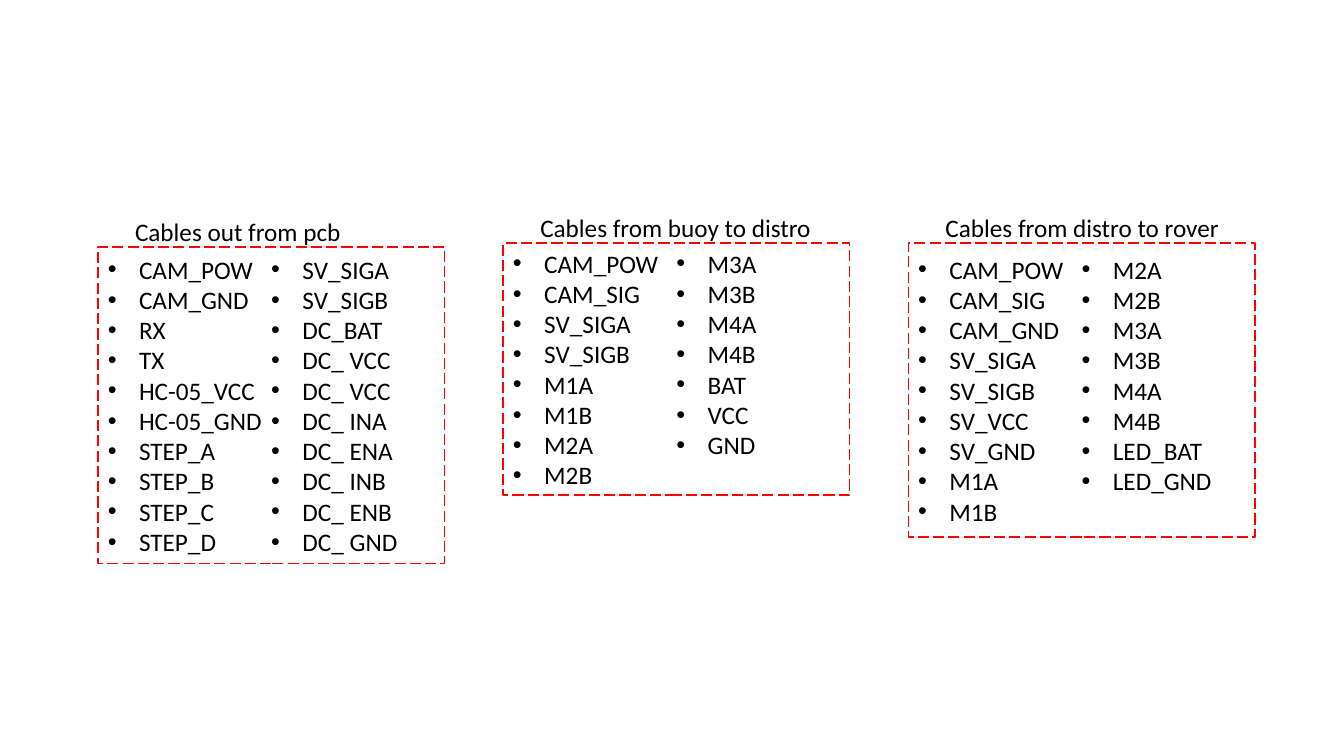
import pptx
import pptx.dml.color
import pptx.enum.dml
import pptx.enum.shapes
import pptx.enum.text
import pptx.oxml
import pptx.oxml.ns
import pptx.util

# Lengths are percentages of the slide's width or height.
FIRST_LEFT, COLUMN_STEP = 7.28, 30.15
BOX_WIDTH = 25.8
TITLE_INDENT, TITLE_RISE, TITLE_HEIGHT = 2.03, 4.67, 5.33

# Column on the slide, title, title width, box top, box height, cables
CABLE_GROUPS = [
    (1, "Cables from buoy to distro", 21.83, 32.13, 33.33, [
        "CAM_POW", "CAM_SIG", "SV_SIGA", "SV_SIGB", "M1A", "M1B", "M2A", "M2B",
        "M3A", "M3B", "M4A", "M4B", "BAT", "VCC", "GND"]),
    (0, "Cables out from pcb", 17.03, 32.67, 41.87, [
        "CAM_POW", "CAM_GND", "RX", "TX", "HC-05_VCC", "HC-05_GND",
        "STEP_A", "STEP_B", "STEP_C", "STEP_D", "SV_SIGA", "SV_SIGB",
        "DC_BAT", "DC_ VCC", "DC_ VCC", "DC_ INA", "DC_ ENA", "DC_ INB",
        "DC_ ENB", "DC_ GND"]),
    (2, "Cables from distro to rover", 22.05, 32.13, 38.93, [
        "CAM_POW", "CAM_SIG", "CAM_GND", "SV_SIGA", "SV_SIGB", "SV_VCC",
        "SV_GND", "M1A", "M1B", "M2A", "M2B", "M3A", "M3B", "M4A", "M4B",
        "LED_BAT", "LED_GND"]),
]


def rgb(hex_colour):
    return pptx.dml.color.RGBColor.from_string(hex_colour)


def set_attributes(target, values):
    for name, value in values.items():
        setattr(target, name, value)


class CableSlide:
    """Holds the text style and the slide being drawn."""

    font = {"name": "Calibri", "size": pptx.util.Pt(18)}
    text_colour = "000000"
    fill_colour = "FFFFFF"
    line_colour = "FF0000"
    bullet_indent = pptx.util.Inches(0.31)

    def __init__(self, presentation):
        self.width = presentation.slide_width
        self.height = presentation.slide_height
        self.slide = presentation.slides.add_slide(presentation.slide_layouts[6])

    def place(self, left, top, width, height):
        """Turn percentages of the slide into lengths."""
        return [round(share * size / 100) for share, size in
                zip((left, top, width, height), (self.width, self.height) * 2)]

    def add_text(self, paragraph, text):
        run = paragraph.add_run()
        run.text = text
        set_attributes(run.font, self.font)
        run.font.color.rgb = rgb(self.text_colour)
        paragraph.alignment = pptx.enum.text.PP_ALIGN.LEFT

    def add_bullet(self, paragraph):
        properties = paragraph._p.get_or_add_pPr()
        properties.set("marL", str(self.bullet_indent))
        properties.set("indent", str(-self.bullet_indent))
        namespace = pptx.oxml.ns.nsdecls("a")
        for element in ('a:buFont {} typeface="Arial"', 'a:buChar {} char="•"'):
            properties.append(pptx.oxml.parse_xml(f"<{element.format(namespace)}/>"))

    def title(self, text, *position):
        frame = self.slide.shapes.add_textbox(*self.place(*position)).text_frame
        set_attributes(frame, {
            "word_wrap": False,
            "auto_size": pptx.enum.text.MSO_AUTO_SIZE.SHAPE_TO_FIT_TEXT})
        self.add_text(frame.paragraphs[0], text)

    def cable_box(self, cables, *position):
        """Draw a dashed box with a bulleted list in two text columns."""
        shape = self.slide.shapes.add_shape(
            pptx.enum.shapes.MSO_SHAPE.RECTANGLE, *self.place(*position))
        shape.shadow.inherit = False
        shape.fill.solid()
        shape.fill.fore_color.rgb = rgb(self.fill_colour)
        shape.line.color.rgb = rgb(self.line_colour)
        set_attributes(shape.line, {
            "width": pptx.util.Pt(1),
            "dash_style": pptx.enum.dml.MSO_LINE.LONG_DASH})
        frame = shape.text_frame
        set_attributes(frame, {
            "word_wrap": True,
            "vertical_anchor": pptx.enum.text.MSO_ANCHOR.MIDDLE})
        frame._txBody.bodyPr.set("numCol", "2")
        for index, cable in enumerate(cables):
            paragraph = frame.add_paragraph() if index else frame.paragraphs[0]
            self.add_text(paragraph, cable)
            self.add_bullet(paragraph)


def main():
    presentation = pptx.Presentation()
    set_attributes(presentation, {"slide_width": pptx.util.Inches(13.33),
                                  "slide_height": pptx.util.Inches(7.5)})
    cable_slide = CableSlide(presentation)
    for column, title, title_width, top, height, cables in CABLE_GROUPS:
        left = FIRST_LEFT + column * COLUMN_STEP
        cable_slide.cable_box(cables, left, top, BOX_WIDTH, height)
        cable_slide.title(title, left + TITLE_INDENT, top - TITLE_RISE,
                          title_width, TITLE_HEIGHT)
    presentation.save("out.pptx")


if __name__ == "__main__":
    main()
